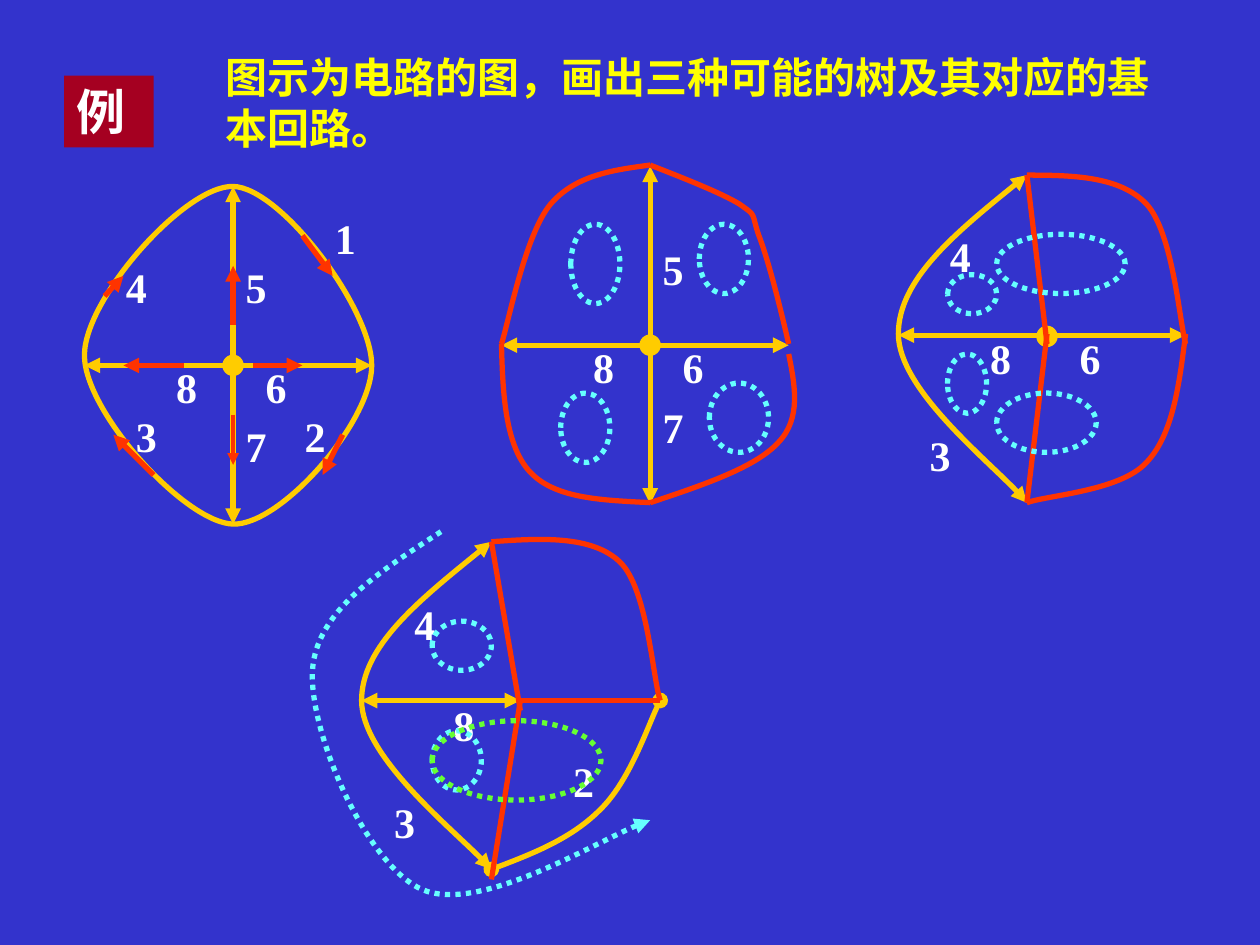
"""Build the slide on circuit-graph trees and their basic loops."""
from lxml import etree
from pptx import Presentation
from pptx.dml.color import RGBColor
from pptx.enum.dml import MSO_LINE
from pptx.enum.shapes import MSO_CONNECTOR, MSO_SHAPE
from pptx.enum.text import MSO_ANCHOR, MSO_AUTO_SIZE, PP_ALIGN
from pptx.oxml.ns import qn
from pptx.util import Inches, Pt

STRAIGHT = MSO_CONNECTOR.STRAIGHT
RECT, OVAL = MSO_SHAPE.RECTANGLE, MSO_SHAPE.OVAL
DOTS = MSO_LINE.ROUND_DOT
TOP, LEFT = MSO_ANCHOR.TOP, PP_ALIGN.LEFT
FIXED = MSO_AUTO_SIZE.NONE

BLUE = RGBColor(0x33, 0x33, 0xCC)
CRIMSON = RGBColor(0xA5, 0x00, 0x21)
GOLD = RGBColor(0xFF, 0xCC, 0x00)
RED = RGBColor(0xFF, 0x33, 0x00)
CYAN = RGBColor(0x66, 0xFF, 0xFF)
GREEN = RGBColor(0x66, 0xFF, 0x33)
YELLOW = RGBColor(0xFF, 0xFF, 0x00)
WHITE = RGBColor(0xFF, 0xFF, 0xFF)

ARROW = "triangle"
BOTH = {"head": ARROW, "tail": ARROW}
TAIL = {"tail": ARROW}
OVALS = {"head": "oval", "tail": "oval"}

BRANCHES = [
    (0.67, 2.9, 2.95, 2.9), (1.85, 1.48, 1.85, 4.16),
    (3.98, 2.74, 6.26, 2.74), (5.16, 1.32, 5.16, 4),
    (7.13, 2.66, 9.41, 2.66), (2.87, 5.56, 4.13, 5.56),
]
BRANCH_CURVES = [
    ([(1.85, 1.48), (2.23, 1.49), (2.95, 2.45), (2.95, 2.9),
      (2.95, 3.35), (2.23, 4.17), (1.85, 4.16),
      (1.47, 4.15), (0.67, 3.27), (0.67, 2.82),
      (0.67, 2.37), (1.47, 1.47), (1.85, 1.48)], {}),
    ([(8.15, 1.39), (7.64, 1.8), (7.13, 2.22), (7.13, 2.65),
      (7.13, 3.08), (7.97, 3.76), (8.15, 3.99)], BOTH),
    ([(3.9, 4.3), (3.38, 4.72), (2.87, 5.13), (2.87, 5.56),
      (2.87, 5.99), (3.71, 6.68), (3.9, 6.9)], BOTH),
    ([(3.9, 6.9), (4.22, 6.78), (4.54, 6.65), (4.76, 6.43),
      (4.99, 6.21), (5.16, 5.71), (5.24, 5.56)], OVALS),
]
NODES = [(1.77, 2.82), (5.08, 2.66), (8.23, 2.59)]
DIRECTIONS = [
    (0.83, 2.35, 0.98, 2.19, 3), (1.46, 2.9, 0.98, 2.9, 3),
    (2.01, 2.9, 2.4, 2.9, 3), (1.85, 2.58, 1.85, 2.11, 3),
    (1.85, 3.29, 1.85, 3.69, 2.25), (1.22, 3.77, 0.9, 3.45, 3),
    (2.72, 3.45, 2.56, 3.77, 3), (2.4, 1.87, 2.64, 2.19, 3),
]
LABELS = {
    "1": [(2.56, 1.64)],
    "2": [(2.32, 3.21), (4.45, 5.95)],
    "3": [(0.98, 3.21), (7.28, 3.36), (3.03, 6.27)],
    "4": [(0.9, 2.03), (7.44, 1.78), (3.19, 4.7)],
    "5": [(1.85, 2.03), (5.16, 1.88)],
    "6": [(2.01, 2.82), (5.32, 2.66), (8.47, 2.59)],
    "7": [(1.85, 3.29), (5.16, 3.14)],
    "8": [(1.3, 2.82), (4.61, 2.66), (7.76, 2.59), (3.5, 5.5)],
}
TREE_LINES = [
    (8.15, 1.39, 8.31, 2.73), (8.31, 2.65, 8.15, 3.99),
    (3.9, 4.3, 4.13, 5.64), (4.13, 5.56, 3.9, 6.98),
    (4.13, 5.56, 5.24, 5.56),
]
TREE_CURVES = [
    [(5.16, 1.31), (4.86, 1.35), (4.57, 1.39), (4.37, 1.62),
     (4.17, 1.86), (4.04, 2.54), (3.98, 2.73)],
    [(5.16, 1.31), (5.44, 1.42), (5.72, 1.53), (5.87, 1.62),
     (6.01, 1.72), (5.96, 1.68), (6.02, 1.86),
     (6.09, 2.04), (6.18, 2.38), (6.26, 2.73)],
    [(3.98, 2.73), (3.99, 3.13), (4.01, 3.54), (4.21, 3.75),
     (4.41, 3.96), (4.78, 3.97), (5.16, 3.99)],
    [(6.26, 2.81), (6.31, 3.06), (6.36, 3.32), (6.18, 3.51),
     (6, 3.71), (5.58, 3.85), (5.16, 3.99)],
    [(8.15, 1.39), (8.52, 1.39), (8.89, 1.4), (9.1, 1.62),
     (9.31, 1.85), (9.36, 2.54), (9.41, 2.73)],
    [(9.41, 2.65), (9.36, 3.05), (9.31, 3.45), (9.1, 3.67),
     (8.89, 3.9), (8.31, 3.93), (8.15, 3.99)],
    [(3.9, 4.3), (4.3, 4.27), (4.7, 4.25), (4.92, 4.46),
     (5.14, 4.67), (5.18, 5.38), (5.24, 5.56)],
]
LOOPS = [
    (4.53, 1.78, 0.39, 0.63), (5.55, 1.78, 0.39, 0.55),
    (4.45, 3.12, 0.39, 0.55), (5.63, 3.04, 0.47, 0.55),
    (7.91, 1.86, 1.02, 0.47), (7.91, 3.12, 0.79, 0.47),
    (7.52, 2.18, 0.39, 0.31), (7.52, 2.81, 0.31, 0.47),
    (3.43, 4.93, 0.47, 0.39), (3.43, 5.8, 0.39, 0.47),
]
OUTER_LOOP = [(3.5, 4.22), (3.01, 4.54), (2.51, 4.85), (2.48, 5.32),
              (2.45, 5.8), (2.9, 6.86), (3.35, 7.06),
              (3.79, 7.25), (4.87, 6.6), (5.16, 6.51)]


class GraphSlide:
    """Hold the slide and its style, with a method per kind of element."""

    frame = {"word_wrap": True, "auto_size": FIXED, "vertical_anchor": TOP,
             "margin_left": Inches(0.1), "margin_right": Inches(0.1),
             "margin_top": Inches(0.05), "margin_bottom": Inches(0.05)}

    def __init__(self, prs):
        self.s = prs.slides.add_slide(prs.slide_layouts[5])
        self.shapes = self.s.shapes
        self.s.background.fill.solid()
        self.s.background.fill.fore_color.rgb = BLUE

    def set_text(self, sp, text, color, size=24, name="Arial"):
        tf = sp.text_frame
        for key, value in self.frame.items():
            setattr(tf, key, value)
        p = tf.paragraphs[0]
        p.alignment = LEFT
        r = p.add_run()
        r.text = text
        for key, value in {"size": Pt(size), "name": name, "bold": True}.items():
            setattr(r.font, key, value)
        r.font.color.rgb = color

    def stroke(self, sp, color, width=3, dash=None, **ends):
        sp.line.color.rgb = color
        sp.line.width = Pt(width)
        if dash:
            sp.line.dash_style = dash
        ln = sp._element.spPr.find(qn("a:ln"))
        for end, kind in ends.items():
            etree.SubElement(ln, qn(f"a:{end}End"), type=kind)

    def title(self, text, *box):
        sp = self.shapes.title
        sp.left, sp.top, sp.width, sp.height = map(Inches, box)
        self.set_text(sp, text, YELLOW)

    def label(self, text, x, y):
        sp = self.shapes.add_textbox(*map(Inches, (x, y, 0.39, 0.5)))
        self.set_text(sp, text, WHITE, name="Times New Roman")

    def shape(self, kind, box, fill=None):
        sp = self.shapes.add_shape(kind, *map(Inches, box))
        sp.shadow.inherit = False
        if fill is None:
            sp.fill.background()
        else:
            sp.fill.solid()
            sp.fill.fore_color.rgb = fill
        return sp

    def badge(self, text, *box):
        sp = self.shape(RECT, box, CRIMSON)
        sp.line.fill.background()
        self.set_text(sp, text, WHITE, 28)

    def node(self, x, y):
        self.stroke(self.shape(OVAL, (x, y, 0.16, 0.16), GOLD), GOLD, 0.75)

    def loop(self, box, color=CYAN):
        self.stroke(self.shape(OVAL, box), color, dash=DOTS)

    def line(self, ends, color, width=3, **heads):
        sp = self.shapes.add_connector(STRAIGHT, *map(Inches, ends))
        self.stroke(sp, color, width, **heads)
        etree.SubElement(sp._element.spPr, qn("a:effectLst"))

    def curve(self, points, color, **style):
        pts = [(Inches(x), Inches(y)) for x, y in points]
        fb = self.shapes.build_freeform(*pts[0])
        fb.add_line_segments(pts[1:], close=pts[0] == pts[-1])
        sp = fb.convert_to_shape()
        sp.shadow.inherit = False
        sp.fill.background()
        steps = sp._element.xpath(".//a:lnTo")
        for i in range(0, len(steps), 3):
            bezier = etree.Element(qn("a:cubicBezTo"))
            steps[i].addprevious(bezier)
            for step in steps[i:i + 3]:
                bezier.append(step[0])
                step.getparent().remove(step)
        self.stroke(sp, color, **style)


def main():
    prs = Presentation()
    prs.slide_width, prs.slide_height = Inches(10), Inches(7.5)
    g = GraphSlide(prs)
    g.title("图示为电路的图，画出三种可能的树及其对应的基本回路。", 1.69, 0.36, 7.72, 0.9)
    g.badge("例", 0.51, 0.6, 0.71, 0.57)
    for ends in BRANCHES:
        g.line(ends, GOLD, **BOTH)
    for points, heads in BRANCH_CURVES:
        g.curve(points, GOLD, **heads)
    for x, y in NODES:
        g.node(x, y)
    for *ends, width in DIRECTIONS:
        g.line(ends, RED, width, **TAIL)
    for text, places in LABELS.items():
        for x, y in places:
            g.label(text, x, y)
    for ends in TREE_LINES:
        g.line(ends, RED)
    for points in TREE_CURVES:
        g.curve(points, RED)
    for box in LOOPS:
        g.loop(box)
    g.loop((3.43, 5.72, 1.34, 0.63), GREEN)
    g.curve(OUTER_LOOP, CYAN, dash=DOTS, **TAIL)
    prs.save("out.pptx")


if __name__ == "__main__":
    main()
